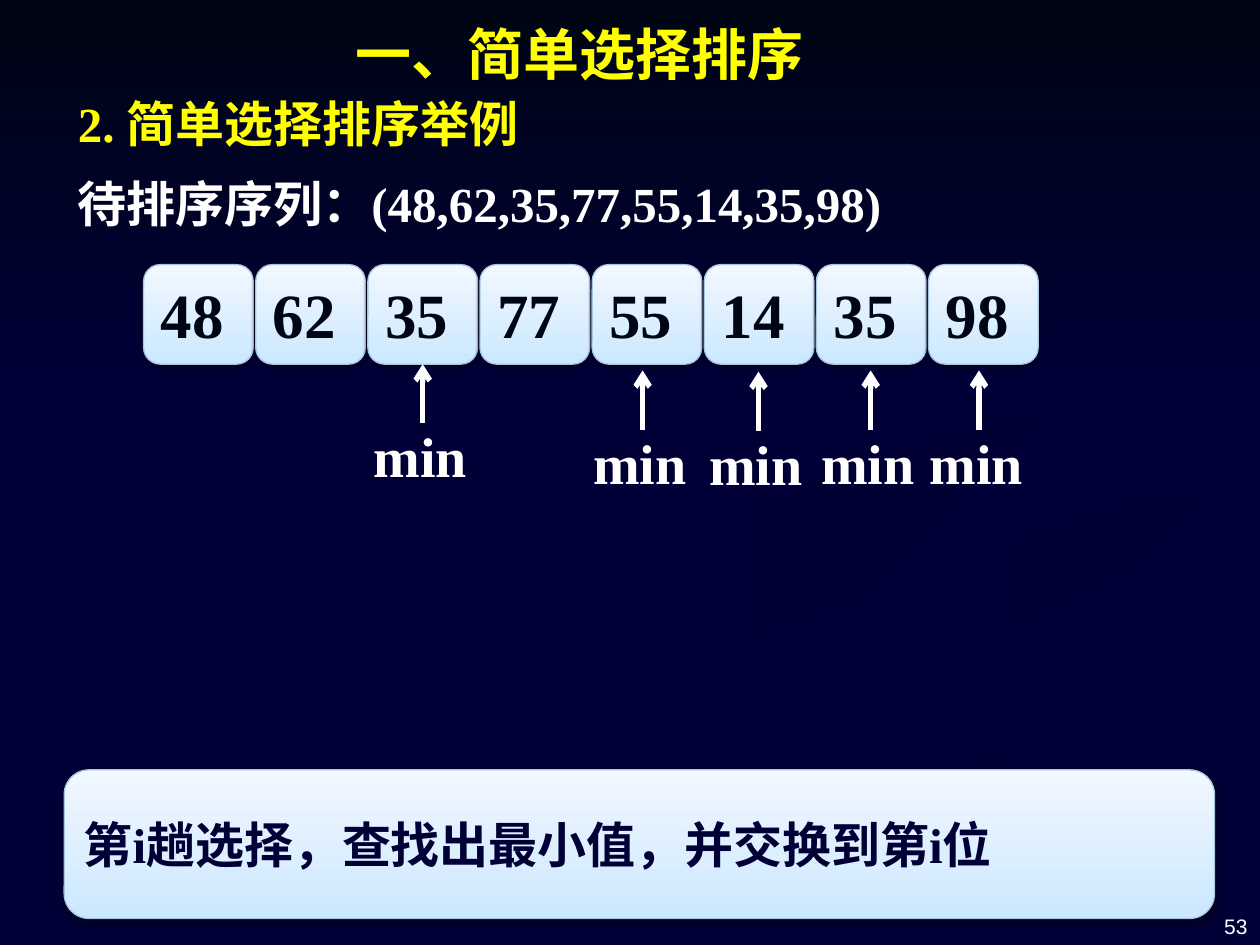
import pptx
import pptx.util
import pptx.dml.color
import pptx.enum.shapes
import pptx.enum.text
import pptx.oxml
import pptx.oxml.ns

Inches, Pt = pptx.util.Inches, pptx.util.Pt
RGBColor = pptx.dml.color.RGBColor
ANCHOR = pptx.enum.text.MSO_ANCHOR
ALIGN = pptx.enum.text.PP_ALIGN
SHAPES = pptx.enum.shapes.MSO_SHAPE

NAVY = RGBColor(0x00, 0x00, 0x36)
DARK_NAVY = RGBColor(0x00, 0x00, 0x32)
INK = RGBColor(0x00, 0x05, 0x14)
YELLOW = RGBColor(0xFF, 0xFF, 0x00)
WHITE = RGBColor(0xFF, 0xFF, 0xFF)
PANEL_LOW = RGBColor(0xCC, 0xE8, 0xFF)
PANEL_HIGH = RGBColor(0xF1, 0xF8, 0xFF)
PANEL_EDGE = RGBColor(0xA5, 0xC6, 0xDE)

SERIF = "Times New Roman"
NUMBERS = [48, 62, 35, 77, 55, 14, 35, 98]
CELL_LEFT, CELL_TOP, CELL_STEP = 1.14, 2.1, 0.89
CELL_WIDTH, CELL_HEIGHT = 0.87, 0.79
FIRST_MIN = 2  # index of the cell that the first marker touches
MARKERS = [(5.1, 2.94), (6.02, 2.95), (6.91, 2.94), (7.77, 2.94)]

# Faint ribbons of the background
RIBBONS = [
    [(5.75, 4.6), (7.8, 5.5), (7.8, 6.05), (3.6, 7.49), (3, 7.49), (7.85, 5.7)],
    [(7.24, 4.64), (9.3, 5.53), (9.4, 5.8), (8.94, 6.05), (9.1, 5.67)],
    [(5.03, 7.49), (7.6, 6.47), (9.98, 5.81), (9.98, 6.09), (5.7, 7.49)],
    [(7.81, 4.6), (8.3, 4.3), (9.98, 4.02), (9.98, 4.2), (8.1, 4.65), (8.26, 4.96)],
    [(5.77, 4.62), (6.4, 4.2), (8.89, 3.35), (8.6, 3.85), (6, 4.6), (6.22, 5)],
]


def set_values(target, values):
    for name, value in values.items():
        setattr(target, name, value)


def fill_gradient(shape, first, last, angle):
    shape.fill.gradient()
    shape.fill.gradient_angle = angle
    for stop, color, position in zip(shape.fill.gradient_stops, (first, last), (0, 1)):
        stop.position = position
        stop.color.rgb = color


def add_effects(shape, content=""):
    namespace = pptx.oxml.ns.nsdecls("a")
    effects = f"<a:effectLst {namespace}>{content}</a:effectLst>"
    shape._element.spPr.append(pptx.oxml.parse_xml(effects))


def write(box, lines, size, font=SERIF, bold=True, frame=None, layout=None):
    """Fill a shape with (text, colour) lines, one paragraph each."""
    set_values(box.text_frame, {"word_wrap": False, "vertical_anchor": ANCHOR.TOP,
                                **(frame or {})})
    for index, (text, color) in enumerate(lines):
        para = box.text_frame.paragraphs[0] if index == 0 else box.text_frame.add_paragraph()
        set_values(para, {"alignment": ALIGN.LEFT, **(layout or {})})
        span = para.add_run()
        span.text = text
        set_values(span.font, {"name": font, "size": Pt(size), "bold": bold})
        span.font.color.rgb = color


def add_text(page, left, top, width, height, lines, size, **options):
    box = page.shapes.add_textbox(Inches(left), Inches(top), Inches(width), Inches(height))
    write(box, lines, size, **options)


def add_panel(page, left, top, width, height, text, color, size, anchor=ANCHOR.TOP):
    box = page.shapes.add_shape(SHAPES.ROUNDED_RECTANGLE, Inches(left), Inches(top),
                                Inches(width), Inches(height))
    fill_gradient(box, PANEL_LOW, PANEL_HIGH, 90)
    box.line.color.rgb = PANEL_EDGE
    box.line.width = Pt(0.75)
    add_effects(box, f'<a:outerShdw blurRad="{Pt(3.1)}" dist="{Pt(1.6)}" dir="5400000" '
                     'rotWithShape="0"><a:srgbClr val="000000">'
                     '<a:alpha val="38000"/></a:srgbClr></a:outerShdw>')
    write(box, [(text, color)], size, frame={"vertical_anchor": anchor})
    return box


def add_marker(page, x, top):
    """Draw an upward arrow with its min label below."""
    arrow = page.shapes.add_connector(pptx.enum.shapes.MSO_CONNECTOR.STRAIGHT,
                                      Inches(x), Inches(top + 0.47), Inches(x), Inches(top))
    arrow.line.color.rgb = WHITE
    arrow.line.width = Pt(3)
    head = f'<a:tailEnd {pptx.oxml.ns.nsdecls("a")} type="arrow"/>'
    arrow.line._get_or_add_ln().append(pptx.oxml.parse_xml(head))
    add_effects(arrow)
    add_text(page, x - 0.49, top + 0.41, 0.95, 0.64, [("min", WHITE)], 32)
    return arrow


def add_background(page):
    page.background.fill.solid()
    page.background.fill.fore_color.rgb = NAVY
    for outline in RIBBONS:
        builder = page.shapes.build_freeform(*outline[0], scale=Inches(1))
        builder.add_line_segments(outline[1:], close=True)
        ribbon = builder.convert_to_shape()
        fill_gradient(ribbon, DARK_NAVY, NAVY, 315)
        ribbon.line.fill.background()
        ribbon.shadow.inherit = False
    band = page.shapes.add_shape(SHAPES.RECTANGLE, 0, 0, Inches(10), Inches(3.08))
    fill_gradient(band, INK, NAVY, 270)
    band.line.fill.background()
    band.shadow.inherit = False


def main():
    deck = pptx.Presentation()
    set_values(deck, {"slide_width": Inches(10), "slide_height": Inches(7.5)})
    page = deck.slides.add_slide(deck.slide_layouts[6])
    add_background(page)

    # Page number
    add_text(page, 7.67, 6.98, 2.33, 0.52, [("53", WHITE)], 12, font="Arial", bold=False,
             frame={"word_wrap": True, "vertical_anchor": ANCHOR.BOTTOM},
             layout={"alignment": ALIGN.RIGHT})

    # Sequence cells
    cells = [add_panel(page, CELL_LEFT + index * CELL_STEP, CELL_TOP, CELL_WIDTH,
                       CELL_HEIGHT, str(number), INK, 36)
             for index, number in enumerate(NUMBERS)]

    # Headings
    add_text(page, 0.52, 0.6, 8.5, 1.31,
             [("2. 简单选择排序举例", YELLOW),
              ("待排序序列：(48,62,35,77,55,14,35,98)", WHITE)], 28,
             frame={"word_wrap": True},
             layout={"line_spacing": 1.2, "space_before": Pt(5.6)})
    add_text(page, 2.72, 0, 3.76, 0.74, [("一、简单选择排序", YELLOW)], 32,
             layout={"line_spacing": 1.2, "space_before": Pt(6.4)})

    # Rule of each pass
    add_panel(page, 0.51, 6.11, 9.13, 1.18, "第i趟选择，查找出最小值，并交换到第i位",
              NAVY, 28, ANCHOR.MIDDLE)

    # Minimum markers, the first one joined to its cell
    middle = CELL_LEFT + FIRST_MIN * CELL_STEP + CELL_WIDTH / 2
    arrow = add_marker(page, middle, CELL_TOP + CELL_HEIGHT)
    arrow.end_connect(cells[FIRST_MIN], 2)
    for x, top in MARKERS:
        add_marker(page, x, top)

    deck.save("out.pptx")


if __name__ == "__main__":
    main()
